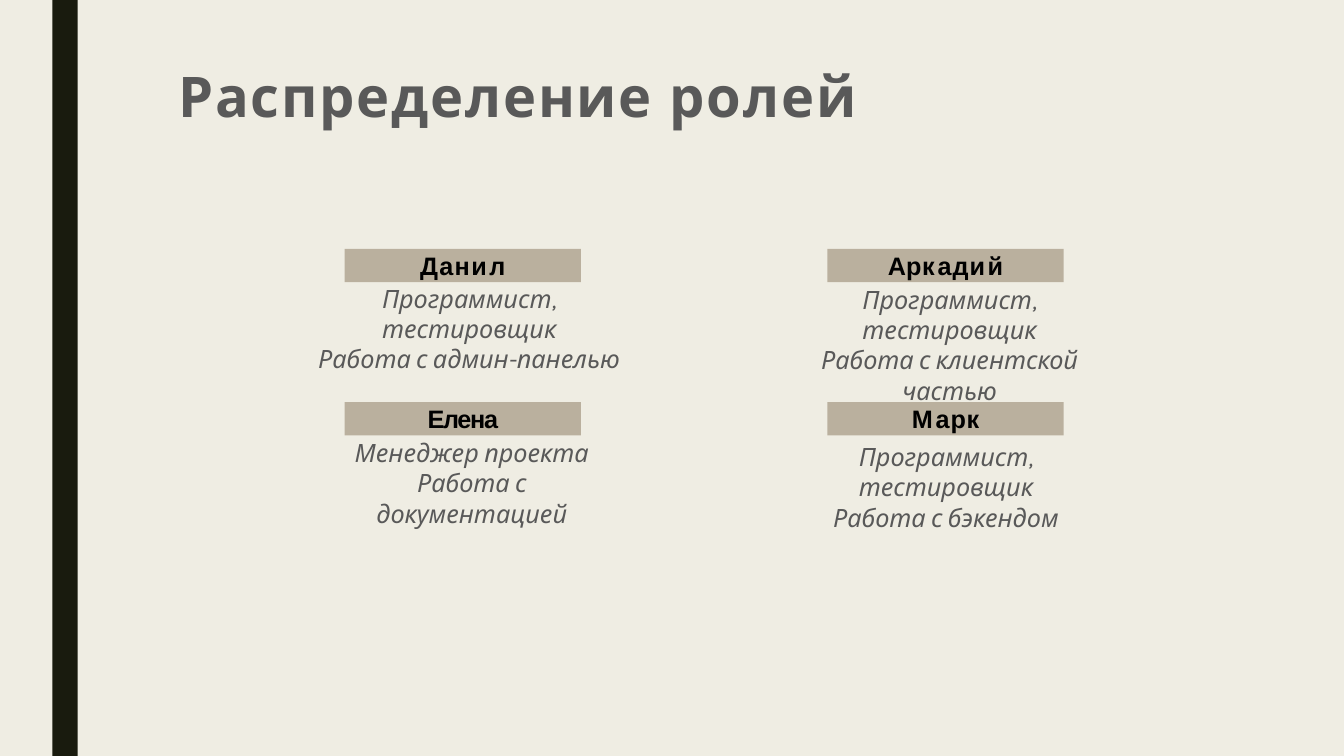
from dataclasses import dataclass

from pptx import Presentation
from pptx.dml.color import RGBColor
from pptx.enum.shapes import MSO_SHAPE
from pptx.enum.text import MSO_ANCHOR, MSO_AUTO_SIZE, PP_ALIGN
from pptx.util import Pt

RECTANGLE = MSO_SHAPE.RECTANGLE
TOP, MIDDLE = MSO_ANCHOR.TOP, MSO_ANCHOR.MIDDLE
LEFT, CENTER = PP_ALIGN.LEFT, PP_ALIGN.CENTER
GROW, FIXED = MSO_AUTO_SIZE.SHAPE_TO_FIT_TEXT, MSO_AUTO_SIZE.NONE
TITLE_ONLY = 5


@dataclass(frozen=True)
class Theme:
    paper: RGBColor = RGBColor.from_string("EFEDE3")
    stripe: RGBColor = RGBColor.from_string("191B0E")
    tag: RGBColor = RGBColor.from_string("BAB09E")
    ink: RGBColor = RGBColor.from_string("595959")
    name: RGBColor = RGBColor.from_string("000000")
    text_font: str = "Karla"
    name_font: str = "Arial"
    title_size: float = 40
    text_size: float = 18


THEME = Theme()
TITLE_FONT = {"name": THEME.text_font, "size": Pt(THEME.title_size), "bold": True}
NAME_FONT = {"name": THEME.name_font, "size": Pt(THEME.text_size), "bold": True}
DUTY_FONT = {"name": THEME.text_font, "size": Pt(THEME.text_size), "italic": True}

CODER = "Программист, тестировщик"
COLUMNS = (246.2, 591)
ROWS = (177.8, 287.3)
TAG_WIDTH, TAG_HEIGHT = 168.8, 23.8
DUTY_HEIGHT = 51.1
MEMBERS = (
    ([("Д", 0.9), ("а", 0.8), ("н", 1.1), ("и", 1.9), ("л", 0.2)],
     [CODER, "Работа с админ-панелью"], (-37.4, 20.9, 252.7)),
    ([("А", -0.6), ("р", 0.4), ("к", 2.1), ("а", 0.8), ("д", 0.6), ("ий", 1.9)],
     [CODER, "Работа с клиентской частью"], (-41.6, 21.6, 257.8)),
    ([("Елена", -0.9)],
     ["Менеджер проекта", "Работа с документацией"], (-23.7, 21.6, 229)),
    ([("М", 2), ("а", 0.8), ("р", 0.4), ("к", 2.2)],
     [CODER, "Работа с бэкендом"], (-46.7, 24.5, 262.8)),
)


def apply(target, values):
    for key, value in values.items():
        setattr(target, key, value)


def place(shape, box):
    apply(shape, dict(zip(("left", "top", "width", "height"), map(Pt, box))))


def set_frame(frame, insets, anchor, auto_size):
    sides = ("margin_left", "margin_top", "margin_right", "margin_bottom")
    apply(frame, dict(zip(sides, map(Pt, insets))))
    apply(frame, {"word_wrap": True, "vertical_anchor": anchor, "auto_size": auto_size})


def add_span(para, text, font, color, tracking=0):
    span = para.add_run()
    span.text = text
    apply(span.font, font)
    span.font.color.rgb = color
    if tracking:
        span.font._element.set("spc", str(round(tracking * 100)))


def add_block(page, box, color):
    block = page.shapes.add_shape(RECTANGLE, *map(Pt, box))
    block.shadow.inherit = False
    block.fill.solid()
    block.fill.fore_color.rgb = color
    block.line.fill.background()
    return block


def add_title(page, box, text):
    title = page.shapes.title
    place(title, box)
    set_frame(title.text_frame, (0, 1.4, 0, 0), TOP, GROW)
    para = title.text_frame.paragraphs[0]
    apply(para, {"alignment": LEFT, "line_spacing": 0.9, "space_before": Pt(0)})
    add_span(para, text, TITLE_FONT, THEME.ink, 1.3)


def add_member(page, box, letters, duties, duty_place):
    left, top, width, height = box
    tag = add_block(page, box, THEME.tag)
    set_frame(tag.text_frame, (0, 0, 0, 0), MIDDLE, FIXED)
    para = tag.text_frame.paragraphs[0]
    para.alignment = CENTER
    for text, tracking in letters:
        add_span(para, text, NAME_FONT, THEME.name, tracking)

    shift, drop, duty_width = duty_place
    duty_box = (left + shift, top + drop, duty_width, DUTY_HEIGHT)
    frame = page.shapes.add_textbox(*map(Pt, duty_box)).text_frame
    set_frame(frame, (7.2, 3.6, 7.2, 3.6), TOP, GROW)
    for index, duty in enumerate(duties):
        para = frame.add_paragraph() if index else frame.paragraphs[0]
        para.alignment = CENTER
        add_span(para, duty, DUTY_FONT, THEME.ink)


def add_team(page):
    for index, member in enumerate(MEMBERS):
        row, column = divmod(index, len(COLUMNS))
        add_member(page, (COLUMNS[column], ROWS[row], TAG_WIDTH, TAG_HEIGHT), *member)


def main():
    deck = Presentation()
    apply(deck, {"slide_width": Pt(960), "slide_height": Pt(540)})
    page = deck.slides.add_slide(deck.slide_layouts[TITLE_ONLY])
    page.background.fill.solid()
    page.background.fill.fore_color.rgb = THEME.paper
    add_block(page, (37.4, 0, 18, 540), THEME.stripe)
    add_title(page, (127.4, 48.2, 689.8, 44.6), "Распределение ролей")
    add_team(page)
    deck.save("out.pptx")


if __name__ == "__main__":
    main()
